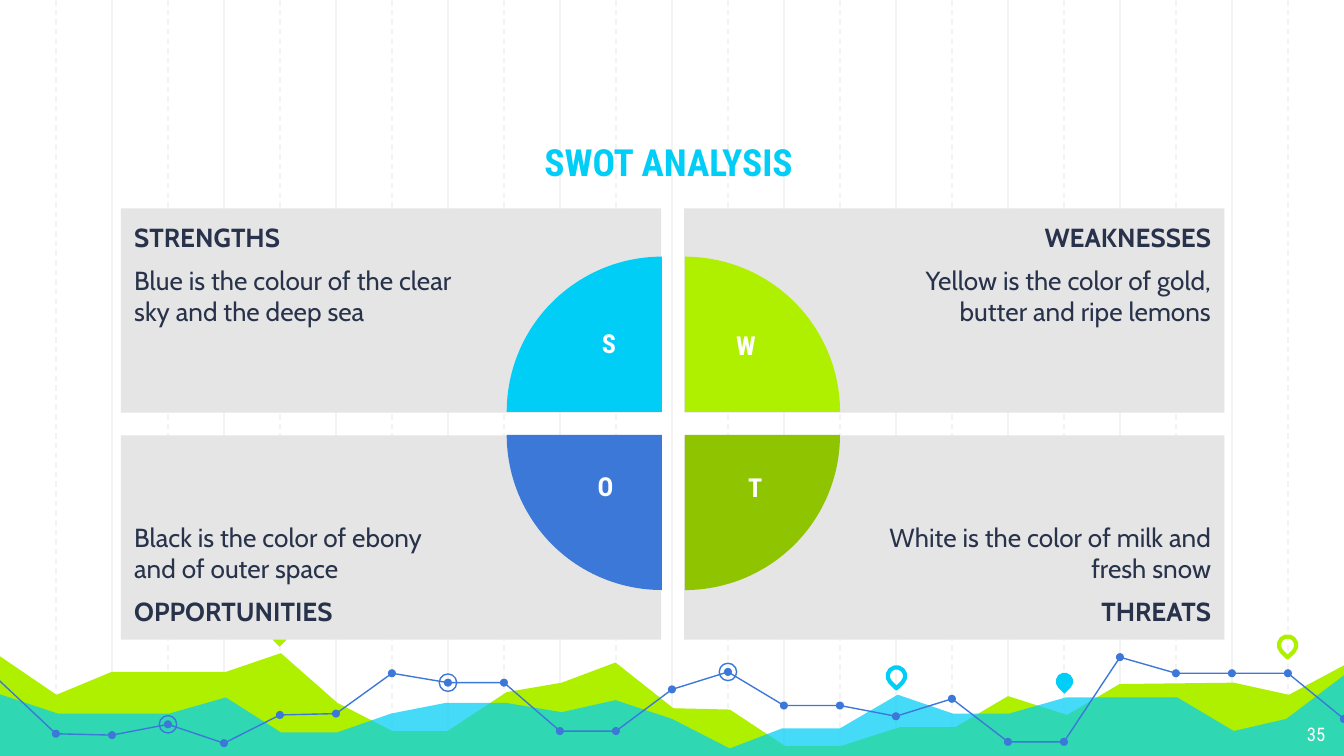
from dataclasses import dataclass

from lxml import etree
from pptx import Presentation
from pptx.dml.color import RGBColor
from pptx.enum.dml import MSO_LINE
from pptx.enum.shapes import MSO_CONNECTOR, MSO_SHAPE
from pptx.enum.text import MSO_ANCHOR, MSO_AUTO_SIZE, PP_ALIGN
from pptx.oxml.ns import qn
from pptx.util import Inches, Pt

LEFT, CENTER, RIGHT = PP_ALIGN.LEFT, PP_ALIGN.CENTER, PP_ALIGN.RIGHT
TOP, BOTTOM = MSO_ANCHOR.TOP, MSO_ANCHOR.BOTTOM
RECT, OVAL = MSO_SHAPE.RECTANGLE, MSO_SHAPE.OVAL
TEAR, PIE = MSO_SHAPE.TEAR, MSO_SHAPE.PIE
STRAIGHT, DASH = MSO_CONNECTOR.STRAIGHT, MSO_LINE.DASH
NO_FIT = MSO_AUTO_SIZE.NONE


@dataclass(frozen=True)
class Theme:
    cyan: str = "00CEF6"
    lime: str = "AFF000"
    green: str = "8EC400"
    blue: str = "3C78D8"
    panel: str = "E5E5E5"
    grid: str = "F3F3F3"
    ink: str = "28324A"
    white: str = "FFFFFF"
    head: str = "Roboto Condensed"
    body: str = "Cabin"
    title: int = 20
    text: int = 14
    small: int = 10
    thin: float = 0.75
    thick: float = 2.25


THEME = Theme()
STEP = 10 / 24  # one column of the background grid

# Background data: (x, y) outlines and one height per grid column
HILLS = [
    (-0.02, 4.87), (0.42, 5.17), (0.83, 5), (1.68, 5), (2.09, 4.86),
    (2.51, 5.23), (2.92, 5.44), (3.33, 5.44), (3.77, 5.15), (4.18, 5.08),
    (4.58, 4.93), (5.01, 5.27), (5.43, 5.28), (5.84, 5.55), (6.26, 5.55),
    (6.7, 5.41), (7.11, 5.41), (7.5, 5.18), (7.94, 5.32), (8.33, 5.09),
    (9.18, 5.08), (9.59, 5.17), (10.02, 4.94), (10.02, 5.64), (-0.03, 5.64)]
WAVES = [
    (-0.02, 5.16), (0.43, 5.31), (1.26, 5.31), (1.68, 5.19), (2.09, 5.45),
    (2.51, 5.45), (2.91, 5.31), (3.32, 5.23), (3.76, 5.23), (4.18, 5.3),
    (4.58, 5.21), (5, 5.35), (5.43, 5.57), (5.82, 5.42), (6.25, 5.42),
    (6.68, 5.17), (7.09, 5.31), (7.51, 5.31), (7.93, 5.19), (8.76, 5.19),
    (9.18, 5.44), (9.57, 5.35), (10.02, 5.01), (10.02, 5.65), (-0.03, 5.65)]
TREND = [5.46, 5.47, 5.39, 5.53, 5.32, 5.31, 5.01, 5.08, 5.08, 5.44, 5.44, 5.13,
         5, 5.25, 5.25, 5.33, 5.2, 5.52, 5.52, 4.89, 5.01, 5.01, 5.01, 5.35]
RINGS = (2, 7, 12)  # trend points with a ring around them


def rgb(code):
    return RGBColor.from_string(code)


def paint(shape, fill=None, line=None, width=THEME.thin):
    shape.shadow.inherit = False
    if fill:
        shape.fill.solid()
        shape.fill.fore_color.rgb = rgb(fill)
    else:
        shape.fill.background()
    if line:
        shape.line.color.rgb = rgb(line)
        shape.line.width = Pt(width)
    else:
        shape.line.fill.background()


def add_form(slide, kind, x, y, w, h, **look):
    shape = slide.shapes.add_shape(kind, Inches(x), Inches(y), Inches(w), Inches(h))
    paint(shape, **look)
    return shape


def add_dot(slide, x, y, size, kind=OVAL, **look):
    return add_form(slide, kind, x - size / 2, y - size / 2, size, size, **look)


def add_pin(slide, x, y, **look):
    add_dot(slide, x, y, 0.13, TEAR, **look).rotation = 135


def add_path(slide, points, close, **look):
    spots = [(Inches(x), Inches(y)) for x, y in points]
    pen = slide.shapes.build_freeform(*spots[0])
    pen.add_line_segments(spots[1:], close=close)
    shape = pen.convert_to_shape()
    paint(shape, **look)
    return shape


def add_rule(slide, x, dashed):
    rule = slide.shapes.add_connector(STRAIGHT, Inches(x), 0, Inches(x), Inches(5.65))
    rule.line.color.rgb = rgb(THEME.grid)
    rule.line.width = Pt(THEME.thin)
    if dashed:
        rule.line.dash_style = DASH
    etree.SubElement(rule.element.spPr, qn("a:effectLst"))


def set_frame(frame, anchor=TOP, sides=(0.1, 0.1), ends=0.1):
    frame.word_wrap = True
    frame.auto_size = NO_FIT
    frame.vertical_anchor = anchor
    frame.margin_left, frame.margin_right = map(Inches, sides)
    frame.margin_top = frame.margin_bottom = Inches(ends)


def style(para, align, font, size, color, bold=False):
    para.alignment = align
    for run in para.runs:
        run.font.name = font
        run.font.size = Pt(size)
        run.font.bold = bold
        run.font.color.rgb = rgb(color)


def add_label(slide, text, x, y, w, h, align, size, bold, sides, ends):
    box = slide.shapes.add_textbox(Inches(x), Inches(y), Inches(w), Inches(h))
    set_frame(box.text_frame, sides=sides, ends=ends)
    box.text_frame.text = text
    style(box.text_frame.paragraphs[0], align, THEME.head, size, THEME.white, bold)


def add_panel(slide, name, note, right, low):
    x, y = (5.09 if right else 0.9), (3.24 if low else 1.55)
    frame = add_form(slide, RECT, x, y, 4.02, 1.52, fill=THEME.panel).text_frame
    set_frame(frame, BOTTOM if low else TOP, (1.5, 0.1) if right else (0.1, 1.5))
    frame.text = "\n".join((note, name) if low else (name, note))
    for para in frame.paragraphs:
        style(para, RIGHT if right else LEFT, THEME.body, THEME.text,
              THEME.ink, para.text == name)
    last = frame.paragraphs[1]
    last.space_before = last.space_after = Pt(6)


def add_slice(slide, color, right, low, turn):
    x, y = (3.94 if right else 3.77), (2.08 if low else 1.91)
    pie = add_form(slide, PIE, x, y, 2.31, 2.31, fill=color)
    pie.adjustments[0] = 108
    pie.adjustments[1] = 162
    pie.rotation = turn


def add_scene(slide):
    # Grid: solid and dashed rules in turn
    for col in range(1, 24):
        add_rule(slide, col * STEP, col % 2 == 1)
    # Area bands
    add_path(slide, HILLS, True, fill=THEME.lime)
    waves = add_path(slide, WAVES, True, fill=THEME.cyan)
    tint = waves.element.spPr.find(qn("a:solidFill"))[0]
    etree.SubElement(tint, qn("a:alpha"), val="73000")
    # Pins
    add_pin(slide, 2.08, 4.72, fill=THEME.lime)
    add_pin(slide, 6.67, 5.03, line=THEME.cyan, width=THEME.thick)
    add_pin(slide, 7.92, 5.07, fill=THEME.cyan)
    add_pin(slide, 9.58, 4.8, line=THEME.lime, width=THEME.thick)
    # Trend line with its dots and rings
    spots = [(col * STEP, y) for col, y in enumerate(TREND, 1)]
    add_path(slide, [(-0.01, 5.06)] + spots, False, line=THEME.blue)
    for x, y in spots:
        add_dot(slide, x, y, 0.06, fill=THEME.blue)
    for i in RINGS:
        add_dot(slide, *spots[i], 0.13, line=THEME.blue)


def set_title(slide, text):
    title = slide.shapes.title
    title.element.getparent().append(title.element)  # in front of the scene
    title.left, title.top = Inches(1.15), Inches(0.69)
    title.width, title.height = Inches(7.65), Inches(0.78)
    set_frame(title.text_frame, BOTTOM)
    title.text_frame.text = text
    style(title.text_frame.paragraphs[0], CENTER, THEME.head, THEME.title,
          THEME.cyan, True)


def main():
    deck = Presentation()
    deck.slide_width = Inches(10)
    deck.slide_height = deck.slide_width * 9 // 16
    slide = deck.slides.add_slide(deck.slide_layouts[5])
    add_scene(slide)
    set_title(slide, "SWOT ANALYSIS")
    add_label(slide, "35", 9.36, 5.28, 0.6, 0.35, RIGHT, THEME.small, False,
              (0.1, 0.1), 0.1)

    # Panels: name, note, right column, lower row
    for panel in (
        ("STRENGTHS", "Blue is the colour of the clear sky and the deep sea", False, False),
        ("WEAKNESSES", "Yellow is the color of gold, butter and ripe lemons", True, False),
        ("OPPORTUNITIES", "Black is the color of ebony and of outer space", False, True),
        ("THREATS", "White is the color of milk and fresh snow", True, True),
    ):
        add_panel(slide, *panel)

    # Quarter circles, clockwise from the top left
    add_slice(slide, THEME.cyan, False, False, 0)
    add_slice(slide, THEME.lime, True, False, 90)
    add_slice(slide, THEME.green, True, True, 180)
    add_slice(slide, THEME.blue, False, True, 270)

    # Letters
    for text, x, y, w in (("S", 4.39, 2.39, 0.28), ("W", 5.36, 2.4, 0.38),
                          ("O", 4.36, 3.45, 0.29), ("T", 5.48, 3.46, 0.28)):
        add_label(slide, text, x, y, w, 0.48, CENTER, THEME.text, True, (0, 0), 0.05)
    deck.save("out.pptx")


if __name__ == "__main__":
    main()
